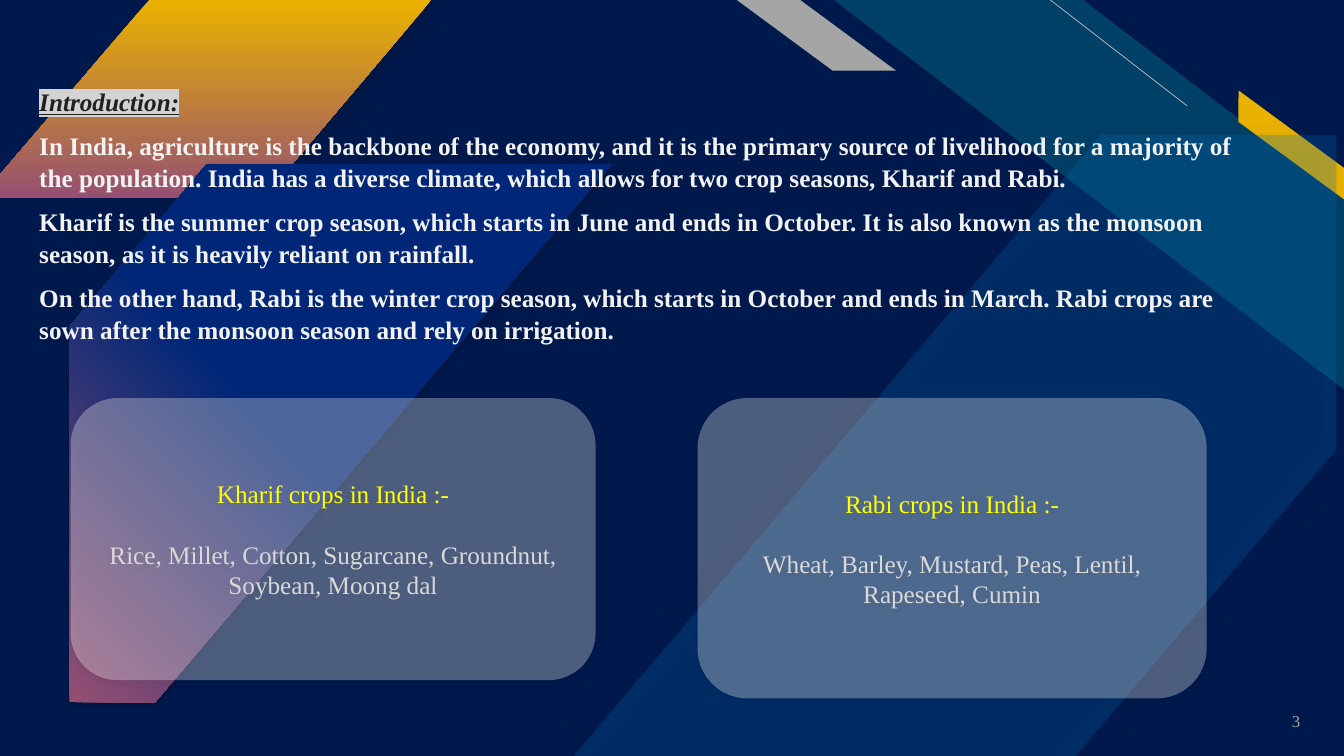
from dataclasses import dataclass
from typing import Any, Optional

import pptx
import pptx.dml.color
import pptx.enum.shapes
import pptx.enum.text
import pptx.oxml
import pptx.oxml.ns
import pptx.util

Cm = pptx.util.Cm
Pt = pptx.util.Pt
Kind = pptx.enum.shapes.MSO_SHAPE
Align = pptx.enum.text.PP_ALIGN
Anchor = pptx.enum.text.MSO_ANCHOR
qn = pptx.oxml.ns.qn
SPACE = 'xmlns:a="http://schemas.openxmlformats.org/drawingml/2006/main"'


@dataclass(frozen=True)
class Theme:
    navy: str = "00194C"
    teal: str = "014067"
    gold: str = "EAB200"
    plum: str = "954F72"
    royal: str = "002777"
    sky: str = "0070C0"
    gray: str = "A5A5A5"
    thread: str = "BFBFBF"
    white: str = "FFFFFF"
    pale: str = "F2F2F2"
    dark: str = "202020"
    mark: str = "D3D3D3"
    yellow: str = "FFFF00"
    crop: str = "D9D9D9"
    serif: str = "Times New Roman"
    body: int = 18
    small: int = 12


THEME = Theme()


@dataclass(frozen=True)
class Box:
    left: float
    top: float
    width: float
    height: float

    def place(self) -> list[int]:
        return [Cm(v) for v in (self.left, self.top, self.width, self.height)]


@dataclass(frozen=True)
class Shade:
    alpha: int
    blur: int
    gap: int
    angle: int


@dataclass(frozen=True)
class Blend:
    stops: tuple[tuple[int, str], ...]
    course: str


@dataclass(frozen=True)
class Band:
    points: tuple[tuple[float, float], ...]
    paint: Any
    shade: Shade
    alpha: int = 100


@dataclass(frozen=True)
class Stripe:
    kind: Any
    box: Box
    adjust: float
    color: str
    turn: float = 0


@dataclass(frozen=True)
class Card:
    box: Box
    title: str
    crops: str


SCREEN = Box(0, 0, 33.87, 19.05)
STRIPES = (
    Stripe(Kind.DIAGONAL_STRIPE, Box(21.01, 0, 12.88, 9.83), 0.512, THEME.teal),
    Stripe(Kind.PARALLELOGRAM, Box(30.66, 3.33, 3.76, 0.64), 0.72, THEME.gold, 36.3),
    Stripe(Kind.PARALLELOGRAM, Box(18.57, 0, 4.01, 1.78), 1.356, THEME.gray),
)
BANDS = (
    Band(((6.63, 5), (10.87, 0), (3.76, 0), (-0.51, 5)),
         Blend(((0, THEME.gold), (100, THEME.plum)), '<a:lin ang="5400000" scaled="0"/>'),
         Shade(11, 10, 7, 0)),
    Band(((5.21, 4.14), (1.75, 8.23), (1.75, 17.7), (3.91, 17.7), (15.42, 4.14)),
         Blend(((55, THEME.royal), (100, THEME.plum)),
               '<a:path path="circle"><a:fillToRect l="100000" b="100000"/></a:path>'),
         Shade(20, 4, 2, 45)),
    Band(((33.68, 3.4), (27.74, 3.4), (13.31, 20.4), (25.96, 20.4), (33.68, 11.33)),
         THEME.sky, Shade(20, 20, 0, 0), 24),
)
CARDS = (
    Card(Box(1.78, 10.03, 13.23, 7.11), "Kharif crops in India :-",
         "Rice, Millet, Cotton, Sugarcane, Groundnut, Soybean, Moong dal"),
    Card(Box(17.58, 10.03, 12.83, 7.57), "Rabi crops in India :-",
         "Wheat, Barley, Mustard, Peas, Lentil, Rapeseed, Cumin"),
)
STORY = (
    "In India, agriculture is the backbone of the economy, and it is the primary source of "
    "livelihood for a majority of the population. India has a diverse climate, which allows "
    "for two crop seasons, Kharif and Rabi.",
    "Kharif is the summer crop season, which starts in June and ends in October. It is also "
    "known as the monsoon season, as it is heavily reliant on rainfall.",
    "On the other hand, Rabi is the winter crop season, which starts in October and ends in "
    "March. Rabi crops are sown after the monsoon season and rely on irrigation.",
)


def rgb(color: str) -> pptx.dml.color.RGBColor:
    return pptx.dml.color.RGBColor.from_string(color)


def node(xml: str) -> Any:
    """Parse one element whose root tag holds the SPACE declaration."""
    return pptx.oxml.parse_xml(xml)


def paint(shape: Any, fill: Any, alpha: int = 100, shade: Optional[Shade] = None) -> None:
    """Give a shape a plain or blended fill, no outline and at most one shadow."""
    shape.line.fill.background()
    shape.shadow.inherit = False
    props = shape._element.spPr
    if isinstance(fill, Blend):
        stops = "".join(f'<a:gs pos="{pos * 1000}"><a:srgbClr val="{color}"/></a:gs>'
                        for pos, color in fill.stops)
        shape.fill.background()
        old = props.find(qn("a:noFill"))
        props.replace(old, node(f'<a:gradFill {SPACE} rotWithShape="1"><a:gsLst>{stops}'
                                f'</a:gsLst>{fill.course}</a:gradFill>'))
    else:
        shape.fill.solid()
        shape.fill.fore_color.rgb = rgb(fill)
        if alpha < 100:
            color = props.find(qn("a:solidFill"))[0]
            color.append(node(f'<a:alpha {SPACE} val="{alpha * 1000}"/>'))
    if shade:
        props.find(qn("a:effectLst")).append(node(
            f'<a:outerShdw {SPACE} blurRad="{Pt(shade.blur)}" dist="{Pt(shade.gap)}" '
            f'dir="{shade.angle * 60000}" algn="ctr" rotWithShape="0"><a:srgbClr val="000000">'
            f'<a:alpha val="{shade.alpha * 1000}"/></a:srgbClr></a:outerShdw>'))


def write(frame: Any, text: str, *, color: str, size: int = THEME.body,
          bold: bool = False, slant: bool = False, under: bool = False,
          mark: str = "", align: Any = Align.LEFT,
          before: float = 0, after: float = 0, pitch: float = 1) -> None:
    """Add a paragraph, using the frame's first one while it is still empty."""
    para = frame.paragraphs[0]
    if para.runs:
        para = frame.add_paragraph()
    para.alignment, para.line_spacing = align, pitch
    para.space_before, para.space_after = Pt(before), Pt(after)
    run = para.add_run()
    run.text = text
    face = run.font
    face.name, face.size, face.bold = THEME.serif, Pt(size), bold
    face.italic, face.underline = slant, under
    face.color.rgb = rgb(color)
    if mark:
        run._r.rPr.find(qn("a:solidFill")).addnext(
            node(f'<a:highlight {SPACE}><a:srgbClr val="{mark}"/></a:highlight>'))


def add_text(slide: Any, box: Box, anchor: Any) -> Any:
    frame = slide.shapes.add_textbox(*box.place()).text_frame
    frame.word_wrap, frame.vertical_anchor = True, anchor
    return frame


def draw_stripe(slide: Any, stripe: Stripe) -> None:
    shape = slide.shapes.add_shape(stripe.kind, *stripe.box.place())
    shape.adjustments[0] = stripe.adjust
    shape.rotation = stripe.turn
    shape._element.spPr.xfrm.set("flipH", "1")
    paint(shape, stripe.color)


def draw_band(slide: Any, band: Band) -> None:
    first, *rest = [(Cm(x), Cm(y)) for x, y in band.points]
    form = slide.shapes.build_freeform(*first)
    form.add_line_segments(rest, close=True)
    paint(form.convert_to_shape(), band.paint, band.alpha, band.shade)


def draw_card(slide: Any, card: Card) -> None:
    shape = slide.shapes.add_shape(Kind.ROUNDED_RECTANGLE, *card.box.place())
    paint(shape, THEME.white, 30, Shade(20, 6, 1, 90))
    frame = shape.text_frame
    frame.word_wrap, frame.vertical_anchor = True, Anchor.MIDDLE
    write(frame, card.title, color=THEME.yellow, align=Align.CENTER)
    write(frame, card.crops, color=THEME.crop, align=Align.CENTER, before=21.5)


def draw_thread(slide: Any) -> None:
    line = slide.shapes.add_connector(pptx.enum.shapes.MSO_CONNECTOR.STRAIGHT,
                                      Cm(29.92), Cm(2.67), Cm(26.47), Cm(0))
    line.line.color.rgb, line.line.width = rgb(THEME.thread), Pt(0.5)
    line._element.spPr.append(node(f"<a:effectLst {SPACE}/>"))


def main() -> None:
    deck = pptx.Presentation()
    deck.slide_width, deck.slide_height = Cm(SCREEN.width), Cm(SCREEN.height)
    slide = deck.slides.add_slide(deck.slide_layouts[6])
    paint(slide.shapes.add_shape(Kind.RECTANGLE, *SCREEN.place()), THEME.navy)
    for stripe in STRIPES:
        draw_stripe(slide, stripe)
    draw_thread(slide)
    for band in BANDS:
        draw_band(slide, band)
    for card in CARDS:
        draw_card(slide, card)
    intro = add_text(slide, Box(0.74, -0.36, 31.29, 9.04), Anchor.BOTTOM)
    intro.margin_bottom = 0
    write(intro, "Introduction:", color=THEME.dark, bold=True, slant=True, under=True,
          mark=THEME.mark, after=8, pitch=1.07)
    for text in STORY:
        write(intro, text, color=THEME.pale, bold=True, after=8, pitch=1.07)
    write(add_text(slide, Box(30.96, 17.65, 2.06, 1.02), Anchor.MIDDLE), "3",
          color=THEME.gray, size=THEME.small, align=Align.RIGHT)
    deck.save("out.pptx")


if __name__ == "__main__":
    main()
